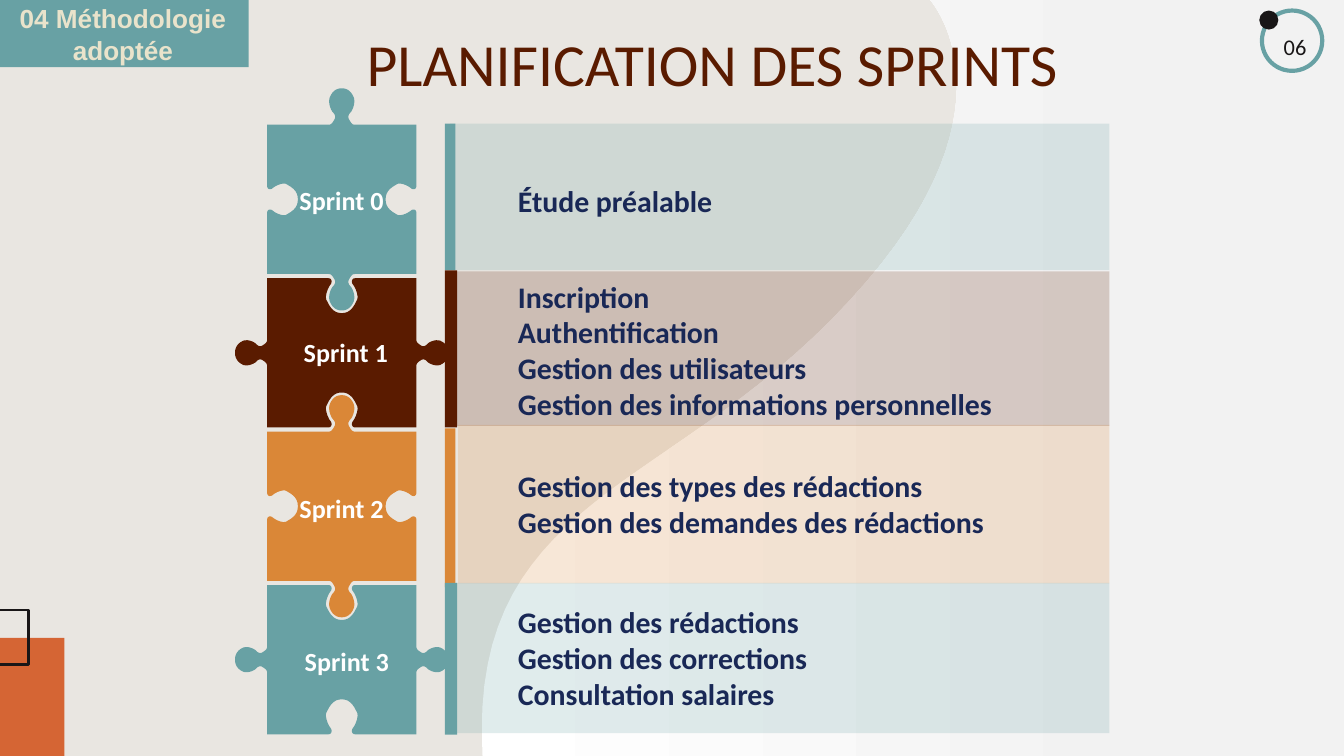
from dataclasses import dataclass

from lxml.etree import SubElement
from pptx import Presentation
from pptx.dml.color import RGBColor
from pptx.enum.shapes import MSO_SHAPE
from pptx.enum.text import MSO_ANCHOR, PP_ALIGN
from pptx.oxml.ns import qn
from pptx.util import Cm, Pt

TEAL = RGBColor(0x68, 0xA1, 0xA4)
BROWN = RGBColor(0x5A, 0x1B, 0x00)
AMBER = RGBColor(0xDA, 0x87, 0x37)
ORANGE = RGBColor(0xD5, 0x65, 0x34)
BLACK = RGBColor(0x19, 0x16, 0x17)
WHITE = RGBColor(0xFF, 0xFF, 0xFF)
PALE = RGBColor(0xF2, 0xF2, 0xF2)
NAVY = RGBColor(0x19, 0x28, 0x56)
CREAM = RGBColor(0xE9, 0xE3, 0xCB)
SAND = RGBColor(0xE9, 0xE6, 0xE1)

WIDTH, HEIGHT = 25.4, 14.29

TITLE = dict(name="Calibri", size=Pt(32), color=BROWN)
LABEL = dict(name="Calibri", size=Pt(14), bold=True, color=WHITE)
TOPIC = dict(name="Calibri", size=Pt(16), bold=True, color=NAVY)
NUMBER = dict(name="Calibri", size=Pt(12), color=BLACK)
SECTION = dict(name="Arial", size=Pt(14), bold=True, color=CREAM)

# Half of a puzzle edge as cubic curves: (offset from the middle, depth), in cm
KNOB = [(-0.25, 0), (-0.2, 0), (-0.18, 0.03), (-0.15, 0.08),
        (-0.1, 0.15), (-0.13, 0.2), (-0.18, 0.25),
        (-0.23, 0.33), (-0.25, 0.43), (-0.23, 0.51),
        (-0.18, 0.64), (-0.1, 0.69), (0, 0.69)]
SOCKET = [(-0.25, 0), (-0.2, 0), (-0.18, 0.05), (-0.2, 0.1),
          (-0.28, 0.2), (-0.33, 0.38), (-0.28, 0.43),
          (-0.2, 0.6), (-0.12, 0.66), (0, 0.66)]

PIECE_LEFT, PIECE_TOP, PIECE_SIDE, PIECE_PITCH = 5.05, 2.36, 2.82, 2.9
STRIPE_LEFT, PANEL_RIGHT, TOPIC_LEFT = 8.41, 20.97, 9.54


@dataclass
class Sprint:
    color: RGBColor
    panel: tuple   # left, top, height
    stripe: tuple  # top, width, height
    label_at: tuple
    topics_top: float
    topics: list


SPRINTS = [
    Sprint(TEAL, (8.51, 2.34, 2.77), (2.34, 0.2, 2.77), (5.41, 3.35), 3.33,
           ["Étude préalable"]),
    Sprint(BROWN, (8.53, 5.13, 2.92), (5.11, 0.23, 2.97), (5.49, 6.22), 5.13,
           ["Inscription", "Authentification", "Gestion des utilisateurs",
            "Gestion des informations personnelles"]),
    Sprint(AMBER, (8.66, 8.03, 3), (8.1, 0.2, 3), (5.41, 9.17), 8.71,
           ["Gestion des types des rédactions",
            "Gestion des demandes des rédactions"]),
    Sprint(TEAL, (8.61, 11.02, 2.84), (11.02, 0.23, 2.87), (5.51, 12.07), 11.28,
           ["Gestion des rédactions", "Gestion des corrections",
            "Consultation salaires"]),
]


def sample_curves(controls, steps=10):
    """Points along chained cubic curves: a start, then three points each."""
    points = [controls[0]]
    for i in range(0, len(controls) - 1, 3):
        a, b, c, d = controls[i:i + 4]
        for step in range(1, steps + 1):
            t = step / steps
            weights = ((1 - t) ** 3, 3 * t * (1 - t) ** 2, 3 * t * t * (1 - t), t ** 3)
            points.append(tuple(sum(w * p[axis] for w, p in zip(weights, (a, b, c, d)))
                                for axis in (0, 1)))
    return points


def puzzle_outline(left, top, upright):
    """Outline with knobs above and below if upright, else left and right."""
    half = PIECE_SIDE / 2
    outline = []
    for out_x, out_y in ((0, -1), (1, 0), (0, 1), (-1, 0)):
        vertical = out_x == 0
        is_knob = vertical == upright
        depth = (1 if is_knob else -1) * (1 if vertical else 0.88)
        rise = sample_curves(KNOB if is_knob else SOCKET, 6)
        fall = [(-u, v) for u, v in reversed(rise[:-1])]
        for u, v in [(-half, 0)] + rise + fall:
            reach = half + depth * v
            outline.append((left + half + out_x * reach - out_y * u,
                            top + half + out_y * reach + out_x * u))
    return outline


class SlideBuilder:
    def __init__(self, slide):
        self.slide = slide
        self.shapes = slide.shapes

    def background(self, color):
        fill = self.slide.background.fill
        fill.solid()
        fill.fore_color.rgb = color

    def _paint(self, shape, fill, line, width, alpha):
        shape.shadow.inherit = False
        if fill is None:
            shape.fill.background()
        else:
            shape.fill.solid()
            shape.fill.fore_color.rgb = fill
        if alpha is not None:
            rgb = shape.fill._xPr.find(qn("a:solidFill"))[0]
            SubElement(rgb, qn("a:alpha"), val=str(alpha * 1000))
        if line is None:
            shape.line.fill.background()
        else:
            shape.line.color.rgb = line
            shape.line.width = Pt(width)

    def preset(self, kind, box, fill=None, line=None, width=1.5, alpha=None):
        shape = self.shapes.add_shape(kind, *map(Cm, box))
        self._paint(shape, fill, line, width, alpha)

    def outline(self, points, fill):
        (x, y), *rest = [(Cm(px), Cm(py)) for px, py in points]
        builder = self.shapes.build_freeform(x, y)
        builder.add_line_segments(rest, close=True)
        shape = builder.convert_to_shape()
        self._paint(shape, fill, None, 0, None)
        return shape

    def text(self, box, lines, style, align=PP_ALIGN.LEFT, anchor=MSO_ANCHOR.TOP,
             inset=0.13, spacing=None):
        frame = self.shapes.add_textbox(*map(Cm, box)).text_frame
        layout = dict(word_wrap=True, vertical_anchor=anchor,
                      margin_top=Cm(inset), margin_bottom=Cm(inset))
        for name, value in layout.items():
            setattr(frame, name, value)
        frame.text = "\n".join(lines)
        for paragraph in frame.paragraphs:
            paragraph.alignment = align
            paragraph.line_spacing = spacing
            for run in paragraph.runs:
                for name, value in style.items():
                    if name == "color":
                        run.font.color.rgb = value
                    else:
                        setattr(run.font, name, value)


def main():
    presentation = Presentation()
    presentation.slide_width, presentation.slide_height = Cm(WIDTH), Cm(HEIGHT)
    page = SlideBuilder(presentation.slides.add_slide(presentation.slide_layouts[6]))
    rect, ellipse = MSO_SHAPE.RECTANGLE, MSO_SHAPE.OVAL

    page.background(SAND)
    page.preset(rect, (0, 12.06, 1.22, HEIGHT - 12.06), ORANGE)
    page.preset(rect, (-0.51, 11.53, 1.05, 1.04), line=BLACK)
    wave = sample_curves([(17.58, 0), (17.58, 0), (19.43, 2.06), (16.05, 5.69),
                          (12.7, 9.35), (8.84, 9.35), (9.12, HEIGHT)], 30)
    backdrop = page.outline(wave + [(WIDTH, HEIGHT), (WIDTH, 0)], WHITE)
    backdrop.fill.gradient()
    backdrop.fill.gradient_angle = 0
    for stop, color, position in zip(backdrop.fill.gradient_stops,
                                     (WHITE, PALE), (0, 0.76)):
        stop.color.rgb = color
        stop.position = position

    page.text((6.68, 0.05, 15.62, 1.8), ["PLANIFICATION DES SPRINTS"], TITLE,
              inset=0.25, spacing=1.15)
    page.preset(ellipse, (23.85, 0.2, 1.14, 1.14), line=TEAL, width=2.25)
    page.preset(ellipse, (23.8, 0.2, 0.36, 0.36), BLACK)
    page.text((23.93, 0.43, 1.09, 0.91), ["06"], NUMBER, PP_ALIGN.CENTER,
              MSO_ANCHOR.MIDDLE, 0.25)

    for i in (1, 3, 2, 0):  # upright pieces lie over their neighbours
        top = PIECE_TOP + i * PIECE_PITCH
        page.outline(puzzle_outline(PIECE_LEFT, top, i % 2 == 0), SPRINTS[i].color)

    for i, sprint in enumerate(SPRINTS):
        left, top, height = sprint.panel
        page.preset(rect, (left, top, PANEL_RIGHT - left, height), sprint.color, alpha=20)
        top, width, height = sprint.stripe
        page.preset(rect, (STRIPE_LEFT, top, width, height), sprint.color)
        page.text((*sprint.label_at, 3.2, 0.86), [f"Sprint {i}"], LABEL)
        page.text((TOPIC_LEFT, sprint.topics_top, 10.5, 0.25 + 0.69 * len(sprint.topics)),
                  sprint.topics, TOPIC)

    page.preset(rect, (-0.08, 0, 4.78, 1.27), TEAL)
    page.text((-0.61, -0.08, 5.87, 1.45), ["04 Méthodologie", "adoptée"], SECTION,
              PP_ALIGN.CENTER)
    presentation.save("out.pptx")


if __name__ == "__main__":
    main()
